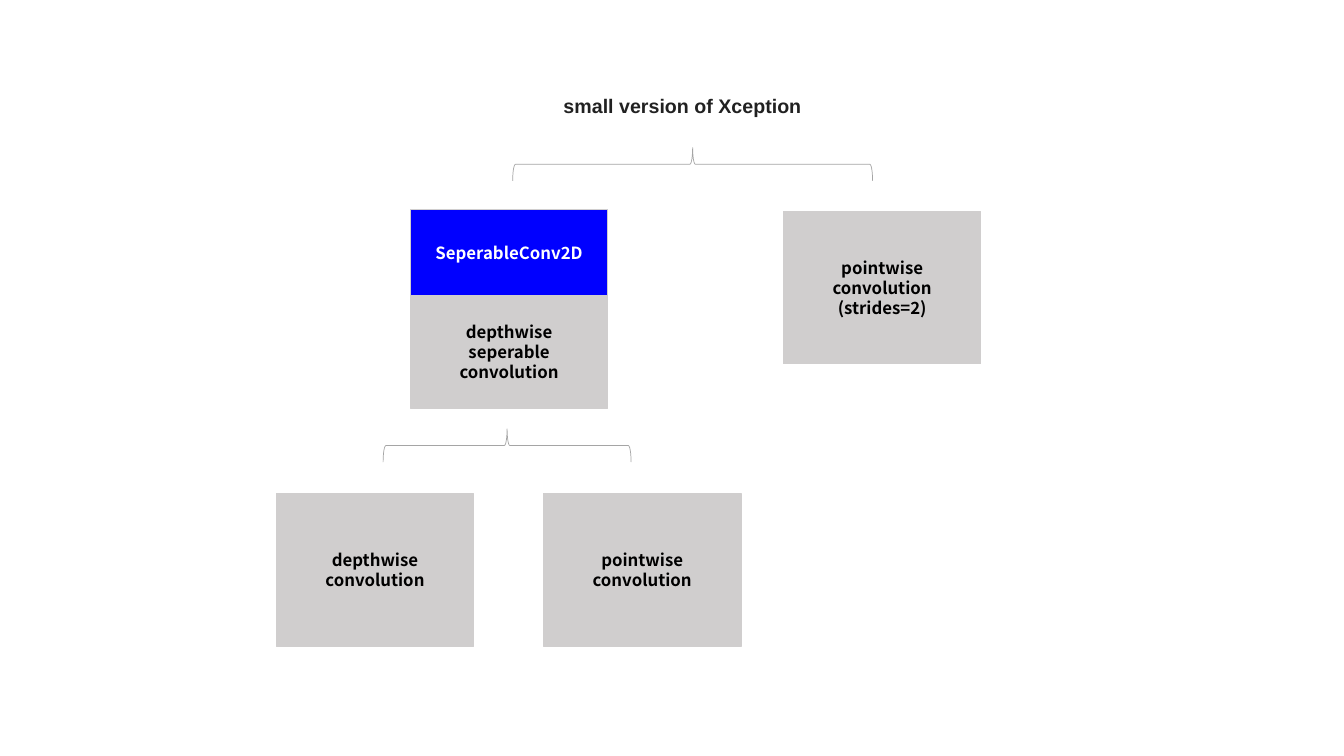
import dataclasses

import pptx
import pptx.dml.color
import pptx.enum.shapes
import pptx.enum.text
import pptx.util

Inches = pptx.util.Inches


@dataclasses.dataclass(frozen=True)
class Theme:
    gray: str = "D0CECE"
    blue: str = "0000FF"
    brace: str = "A5A5A5"
    black: str = "000000"
    white: str = "FFFFFF"
    title: str = "212121"
    box_font: str = "Noto Sans CJK KR"
    title_font: str = "Arial"
    box_size: int = 12
    title_size: int = 14
    box_line: float = 0.75
    brace_line: float = 0.5


class Diagram:
    def __init__(self, slide, theme):
        self.slide = slide
        self.theme = theme

    def add_run(self, paragraph, text, font, size, color):
        run = paragraph.add_run()
        run.text = text
        run.font.name = font
        run.font.size = pptx.util.Pt(size)
        run.font.bold = True
        run.font.color.rgb = pptx.dml.color.RGBColor.from_string(color)

    def add_outlined(self, kind, left, top, width, height, color, weight):
        shape = self.slide.shapes.add_shape(
            kind, Inches(left), Inches(top), Inches(width), Inches(height)
        )
        shape.shadow.inherit = False
        shape.line.color.rgb = pptx.dml.color.RGBColor.from_string(color)
        shape.line.width = pptx.util.Pt(weight)
        return shape

    def add_box(self, left, top, height, lines, fill, color):
        theme = self.theme
        shape = self.add_outlined(
            pptx.enum.shapes.MSO_SHAPE.RECTANGLE,
            left, top, BOX_WIDTH, height, theme.gray, theme.box_line,
        )
        shape.fill.solid()
        shape.fill.fore_color.rgb = pptx.dml.color.RGBColor.from_string(fill)
        frame = shape.text_frame
        frame.word_wrap = False
        frame.vertical_anchor = pptx.enum.text.MSO_ANCHOR.MIDDLE
        for index, line in enumerate(lines):
            paragraph = frame.add_paragraph() if index else frame.paragraphs[0]
            paragraph.alignment = pptx.enum.text.PP_ALIGN.CENTER
            self.add_run(paragraph, line, theme.box_font, theme.box_size, color)

    def add_brace(self, center_x, center_y, span):
        depth = 0.33
        shape = self.add_outlined(
            pptx.enum.shapes.MSO_SHAPE.RIGHT_BRACE,
            center_x - depth / 2, center_y - span / 2, depth, span,
            self.theme.brace, self.theme.brace_line,
        )
        shape.fill.background()
        shape.rotation = 270
        shape.adjustments[0] = 0.083
        shape.adjustments[1] = 0.5

    def add_title(self, left, top, width, height, text):
        theme = self.theme
        box = self.slide.shapes.add_textbox(
            Inches(left), Inches(top), Inches(width), Inches(height)
        )
        frame = box.text_frame
        frame.word_wrap = True
        frame.auto_size = pptx.enum.text.MSO_AUTO_SIZE.SHAPE_TO_FIT_TEXT
        self.add_run(
            frame.paragraphs[0], text, theme.title_font, theme.title_size, theme.title
        )


BOX_WIDTH = 1.96
BOX_HEIGHT = 1.51


def main():
    presentation = pptx.Presentation()
    presentation.slide_width = Inches(13.33)
    presentation.slide_height = Inches(7.5)
    slide = presentation.slides.add_slide(presentation.slide_layouts[6])
    theme = Theme()
    diagram = Diagram(slide, theme)

    gray_boxes = [
        (2.74, 4.9, BOX_HEIGHT, ["depthwise", "convolution"]),
        (5.39, 4.9, BOX_HEIGHT, ["pointwise", "convolution"]),
        (4.07, 2.93, 1.12, ["depthwise", "seperable", "convolution"]),
        (7.77, 2.1, BOX_HEIGHT, ["pointwise", "convolution", "(strides=2)"]),
    ]
    for left, top, height, lines in gray_boxes:
        diagram.add_box(left, top, height, lines, theme.gray, theme.black)
    diagram.add_box(4.07, 2.08, 0.85, ["SeperableConv2D"], theme.blue, theme.white)

    diagram.add_brace(5.03, 4.42, 2.46)
    diagram.add_brace(6.87, 1.63, 3.57)
    diagram.add_title(5.49, 0.88, 2.81, 0.33, "small version of Xception")

    presentation.save("out.pptx")


if __name__ == "__main__":
    main()
